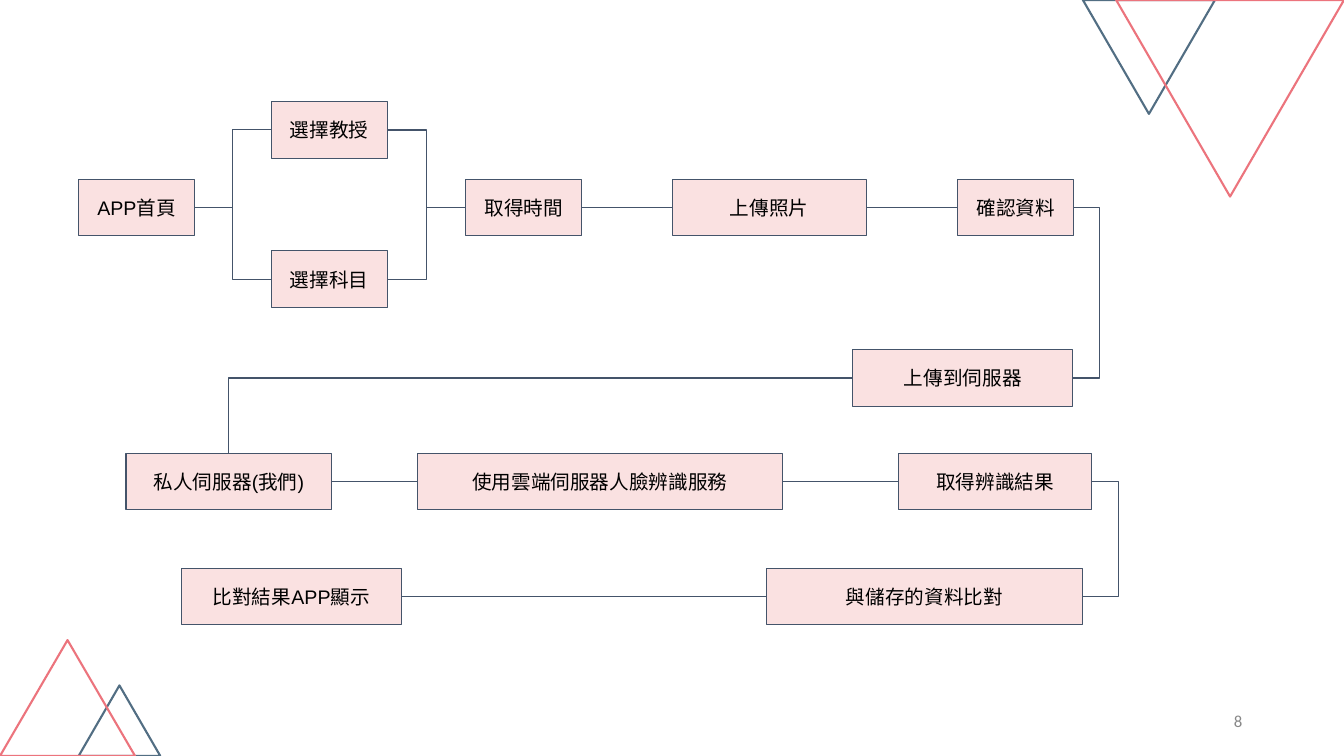
import pptx
import pptx.dml.color
import pptx.enum.shapes
import pptx.enum.text
import pptx.oxml
import pptx.util
from dataclasses import dataclass
from pptx.util import Inches

SHAPES = pptx.enum.shapes.MSO_SHAPE
CONNECTORS = pptx.enum.shapes.MSO_CONNECTOR
ALIGN = pptx.enum.text.PP_ALIGN
TOP, LEFT, RIGHT = 0, 1, 3  # connection sites of a rectangle


@dataclass
class Theme:
    box_fill: str = "FAE1E1"
    outline: str = "44546A"
    blue: str = "526E83"
    pink: str = "EC747D"
    text: str = "000000"
    muted: str = "888888"
    font: str = "Arial"
    number_font: str = "Calibri"
    box_size: float = 14
    number_size: float = 12
    outline_width: float = 0.75
    triangle_width: float = 1.5
    box_height: float = 0.56


def color(code):
    return pptx.dml.color.RGBColor.from_string(code)


class FlowSlide:
    def __init__(self, presentation, theme):
        self.theme = theme
        self.slide = presentation.slides.add_slide(presentation.slide_layouts[6])

    def style_line(self, line, code, width):
        line.color.rgb = color(code)
        line.width = pptx.util.Pt(width)

    def set_text(self, shape, text, font, size, code, align, inset):
        frame = shape.text_frame
        frame.word_wrap = True
        frame.vertical_anchor = pptx.enum.text.MSO_ANCHOR.MIDDLE
        frame.margin_left = frame.margin_right = Inches(0.1)
        frame.margin_top = frame.margin_bottom = Inches(inset)
        paragraph = frame.paragraphs[0]
        paragraph.text = text
        paragraph.alignment = align
        paragraph.font.name = font
        paragraph.font.size = pptx.util.Pt(size)
        paragraph.font.color.rgb = color(code)

    def triangle(self, left, top, width, height, code, rotation=0):
        shape = self.slide.shapes.add_shape(
            SHAPES.ISOSCELES_TRIANGLE,
            Inches(left), Inches(top), Inches(width), Inches(height))
        shape.rotation = rotation
        shape.shadow.inherit = False
        shape.fill.background()
        self.style_line(shape.line, code, self.theme.triangle_width)

    def box(self, text, left, top, width):
        theme = self.theme
        shape = self.slide.shapes.add_shape(
            SHAPES.RECTANGLE,
            Inches(left), Inches(top), Inches(width), Inches(theme.box_height))
        shape.shadow.inherit = False
        shape.fill.solid()
        shape.fill.fore_color.rgb = color(theme.box_fill)
        self.style_line(shape.line, theme.outline, theme.outline_width)
        self.set_text(shape, text, theme.font, theme.box_size, theme.text, ALIGN.CENTER, 0.1)
        return shape

    def connect(self, start, end, start_site=RIGHT, end_site=LEFT, kind=CONNECTORS.ELBOW):
        connector = self.slide.shapes.add_connector(kind, 0, 0, 0, 0)
        connector.begin_connect(start, start_site)
        connector.end_connect(end, end_site)
        self.style_line(connector.line, self.theme.outline, self.theme.outline_width)
        properties = connector.element.spPr
        properties.append(properties.makeelement(pptx.oxml.ns.qn("a:effectLst"), {}))
        return connector

    def straight(self, start, end, start_site=RIGHT, end_site=LEFT):
        self.connect(start, end, start_site, end_site, CONNECTORS.STRAIGHT)

    def loop(self, start, end, turn):
        """Joins two right sides by way of a vertical run at x = turn."""
        connector = self.connect(start, end, RIGHT, RIGHT)
        span = connector.end_x - connector.begin_x
        bend = round((Inches(turn) - connector.begin_x) / span * 100000)
        guides = connector.element.spPr.prstGeom.get_or_add_avLst()
        guide = guides.makeelement(
            pptx.oxml.ns.qn("a:gd"), {"name": "adj1", "fmla": f"val {bend}"})
        guides.append(guide)

    def corner(self, start, end):
        """Leaves a left side and turns down once into a top side."""
        connector = self.connect(start, end, LEFT, TOP)
        connector.element.spPr.prstGeom.set("prst", "bentConnector2")

    def page_number(self, number):
        theme = self.theme
        shape = self.slide.shapes.add_textbox(
            Inches(9.42), Inches(6.95), Inches(3), Inches(0.4))
        self.set_text(shape, str(number), theme.number_font, theme.number_size,
                      theme.muted, ALIGN.RIGHT, 0.05)


def main():
    presentation = pptx.Presentation()
    presentation.slide_width = Inches(13.33)
    presentation.slide_height = Inches(7.5)
    theme = Theme()
    flow = FlowSlide(presentation, theme)

    # Corner triangles
    flow.triangle(10.74, 0, 1.31, 1.13, theme.blue, 180)
    flow.triangle(11.07, 0, 2.26, 1.95, theme.pink, 180)
    flow.triangle(0.78, 6.8, 0.81, 0.7, theme.blue)
    flow.triangle(0, 6.35, 1.34, 1.15, theme.pink)

    # Steps in the app
    app_row, upload_row, server_row, result_row = 1.78, 3.47, 4.5, 5.64
    home = flow.box("APP首頁", 0.78, app_row, 1.15)
    professor = flow.box("選擇教授", 2.69, 1.01, 1.15)
    subject = flow.box("選擇科目", 2.69, 2.49, 1.15)
    time = flow.box("取得時間", 4.62, app_row, 1.15)
    photo = flow.box("上傳照片", 6.67, app_row, 1.92)
    confirm = flow.box("確認資料", 9.5, app_row, 1.15)

    # Steps on the server
    upload = flow.box("上傳到伺服器", 8.46, upload_row, 2.18)
    private = flow.box("私人伺服器(我們)", 1.25, server_row, 2.04)
    recognition = flow.box("使用雲端伺服器人臉辨識服務", 4.14, server_row, 3.62)
    result = flow.box("取得辨識結果", 8.91, server_row, 1.92)
    compare = flow.box("與儲存的資料比對", 7.6, result_row, 3.14)
    display = flow.box("比對結果APP顯示", 1.8, result_row, 2.18)

    # Branches through the two choices
    for choice in (professor, subject):
        flow.connect(home, choice)
        flow.connect(choice, time)

    # Links along the rows
    for start, end in ((time, photo), (photo, confirm),
                       (private, recognition), (recognition, result)):
        flow.straight(start, end)
    flow.straight(compare, display, LEFT, RIGHT)

    # Links between the rows
    flow.loop(confirm, upload, 10.91)
    flow.corner(upload, private)
    flow.loop(result, compare, 11.09)

    flow.page_number(8)
    presentation.save("out.pptx")


if __name__ == "__main__":
    main()
